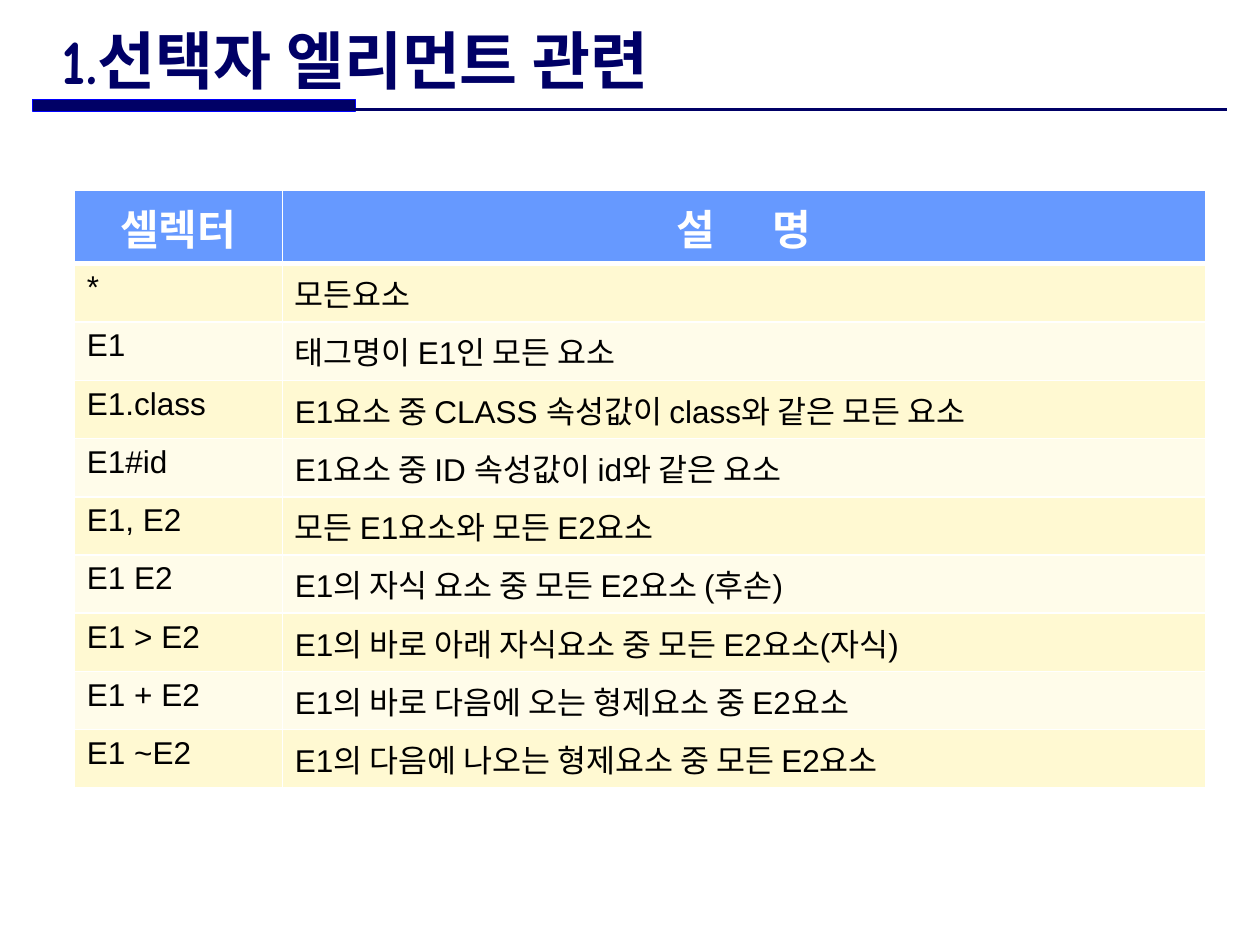
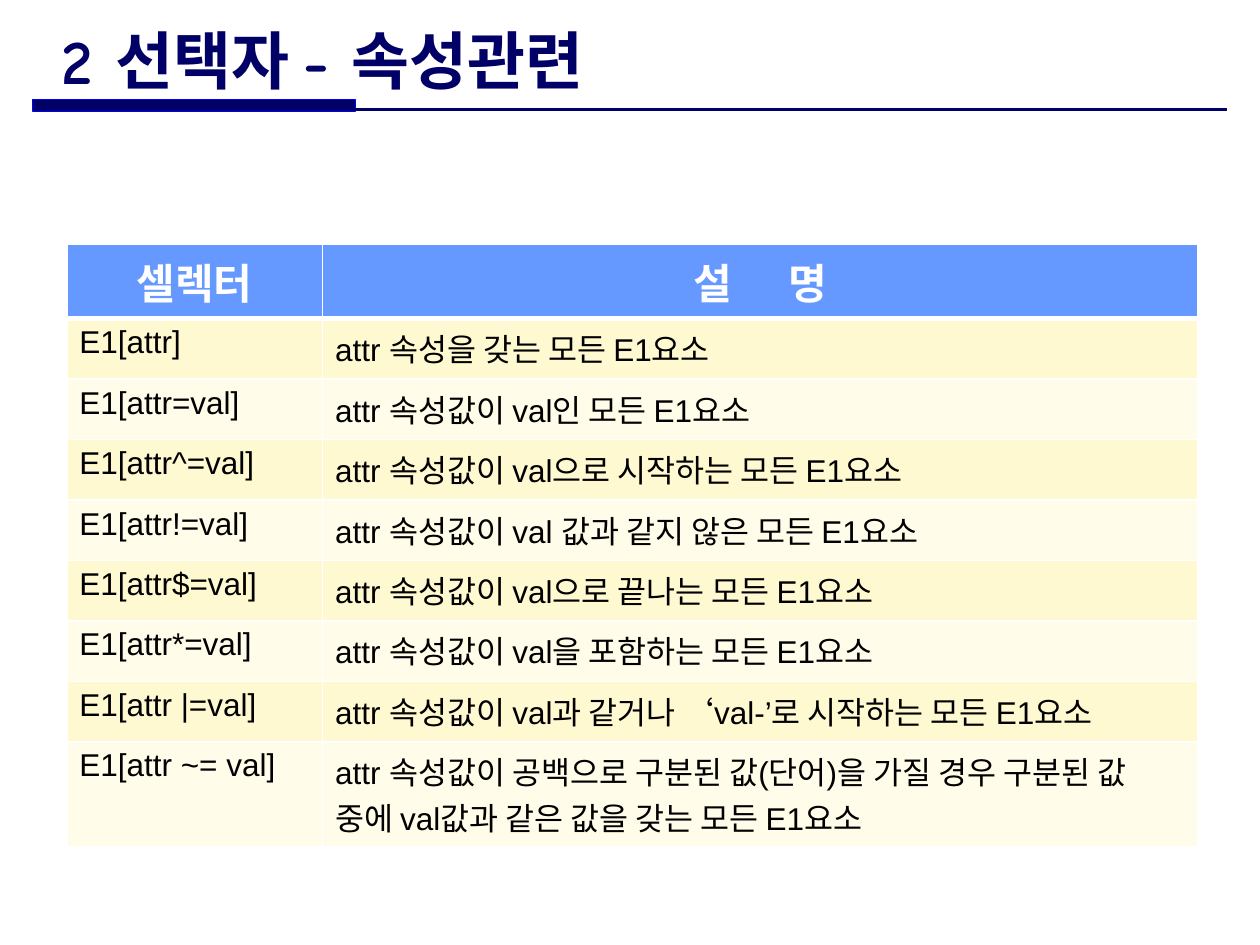
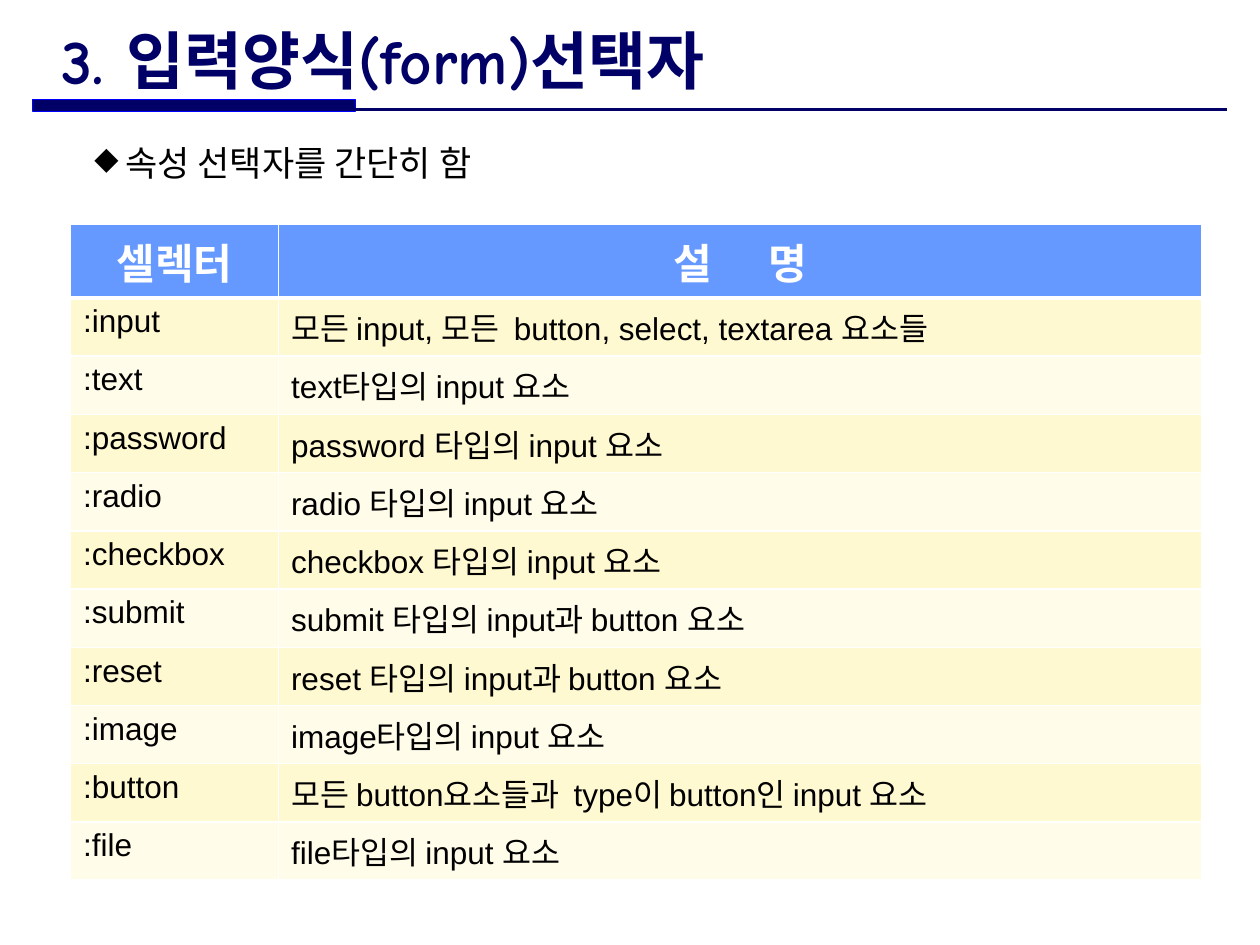
from lxml.etree import SubElement
from pptx import Presentation
from pptx.dml.color import RGBColor
from pptx.enum.shapes import MSO_CONNECTOR, MSO_SHAPE
from pptx.enum.text import MSO_ANCHOR, MSO_AUTO_SIZE, PP_ALIGN
from pptx.oxml.ns import qn
from pptx.util import Inches, Pt

COLORS = {
    "navy": "000066",
    "outline": "0000FF",
    "header": "6699FF",
    "odd_row": "FFF9D2",
    "even_row": "FFFCEA",
    "white": "FFFFFF",
    "black": "000000",
}
KOREAN_FONT = "Noto Sans CJK KR"
HEADINGS = ("셀렉터", "설      명")
TABLE_WIDTH = 8.98

TOPICS = [
    {
        "title": "1.선택자 엘리먼트 관련",
        "corner": (0.59, 1.51),
        "selector_width": 1.65,
        "heights": [0.53] + [0.43] * 9,
        "rows": [
            ("*", "모든요소"),
            ("E1", "태그명이 E1인 모든 요소"),
            ("E1.class", "E1요소 중 CLASS 속성값이 class와 같은 모든 요소"),
            ("E1#id", "E1요소 중 ID 속성값이 id와 같은 요소"),
            ("E1, E2", "모든 E1요소와 모든 E2요소"),
            ("E1 E2", "E1의 자식 요소 중 모든 E2요소 (후손)"),
            ("E1 > E2", "E1의 바로 아래 자식요소 중 모든 E2요소(자식)"),
            ("E1 + E2", "E1의 바로 다음에 오는 형제요소 중 E2요소"),
            ("E1 ~E2", "E1의 다음에 나오는 형제요소 중 모든 E2요소"),
        ],
    },
    {
        "title": "2 선택자 - 속성관련",
        "corner": (0.53, 1.94),
        "selector_width": 2.03,
        "heights": [0.59] + [0.48] * 7 + [0.83],
        "rows": [
            ("E1[attr]", "attr 속성을 갖는 모든 E1요소"),
            ("E1[attr=val]", "attr 속성값이 val인 모든 E1요소"),
            ("E1[attr^=val]", "attr 속성값이 val으로 시작하는 모든 E1요소"),
            ("E1[attr!=val]", "attr 속성값이 val 값과 같지 않은 모든 E1요소"),
            ("E1[attr$=val]", "attr 속성값이 val으로 끝나는 모든 E1요소"),
            ("E1[attr*=val]", "attr 속성값이 val을 포함하는 모든 E1요소"),
            ("E1[attr |=val]", "attr 속성값이 val과 같거나 ‘val-’로 시작하는 모든 E1요소"),
            ("E1[attr ~= val]", "attr 속성값이 공백으로 구분된 값(단어)을 가질 경우 구분된 값 "
                                "중에 val값과 같은 값을 갖는 모든 E1요소"),
        ],
    },
    {
        "title": "3. 입력양식(form)선택자",
        "corner": (0.56, 1.78),
        "selector_width": 1.65,
        "heights": [0.41] * 11,
        "rows": [
            (":input", "모든 input, 모든  button, select, textarea 요소들"),
            (":text", "text타입의 input 요소"),
            (":password", "password 타입의 input 요소"),
            (":radio", "radio 타입의 input 요소"),
            (":checkbox", "checkbox 타입의 input 요소"),
            (":submit", "submit 타입의 input과 button 요소"),
            (":reset", "reset 타입의 input과 button 요소"),
            (":image", "image타입의 input 요소"),
            (":button", "모든 button요소들과  type이 button인 input 요소"),
            (":file", "file타입의 input 요소"),
        ],
    },
]


def format_run(run, size, color, font="Arial", bold=False):
    run.font.size = Pt(size)
    run.font.bold = bold
    run.font.name = font
    run.font.color.rgb = RGBColor.from_string(COLORS[color])
    east_asian = SubElement(run.font._element, qn("a:ea"), typeface=KOREAN_FONT)
    run.font._element.find(qn("a:latin")).addnext(east_asian)


def set_borders(cell, bottom_width):
    properties = cell._tc.get_or_add_tcPr()
    for side, width in (("L", 1), ("R", 1), ("T", 1), ("B", bottom_width)):
        line = SubElement(properties, qn(f"a:ln{side}"), w=str(Pt(width)))
        fill = SubElement(line, qn("a:solidFill"))
        SubElement(fill, qn("a:srgbClr"), val=COLORS["white"])


presentation = Presentation()
presentation.slide_width, presentation.slide_height = Inches(10), Inches(7.5)
layout = presentation.slide_layouts.get_by_name("Title Only")
slides = [presentation.slides.add_slide(layout) for topic in TOPICS]

band = slides[0].shapes.add_shape(
    MSO_SHAPE.RECTANGLE, Inches(0.26), Inches(0.79), Inches(2.56), Inches(0.09))
band.shadow.inherit = False
band.fill.solid()
band.fill.fore_color.rgb = RGBColor.from_string(COLORS["navy"])
band.line.color.rgb = RGBColor.from_string(COLORS["outline"])
band.line.width = Pt(0.75)

rule = slides[0].shapes.add_connector(
    MSO_CONNECTOR.STRAIGHT, Inches(0.26), Inches(0.87), Inches(9.74), Inches(0.87))
rule.line.color.rgb = RGBColor.from_string(COLORS["navy"])
rule.line.width = Pt(1.5)
SubElement(rule._element.spPr, qn("a:effectLst"))

for decoration in (band, rule):
    layout.shapes.element.append(decoration.element)

for slide, topic in zip(slides, TOPICS):
    title = slide.shapes.title
    title.left, title.top = Inches(0.39), Inches(0.21)
    title.width, title.height = Inches(6.79), Inches(0.52)
    title.text_frame.text = topic["title"]
    title.text_frame.auto_size = MSO_AUTO_SIZE.NONE
    title.text_frame.vertical_anchor = MSO_ANCHOR.MIDDLE
    title_paragraph = title.text_frame.paragraphs[0]
    title_paragraph.alignment = PP_ALIGN.LEFT
    format_run(title_paragraph.runs[0], 36, "navy", "Comic Neue", True)

    left, top = topic["corner"]
    heights = topic["heights"]
    table = slide.shapes.add_table(
        len(heights), 2, Inches(left), Inches(top),
        Inches(TABLE_WIDTH), Inches(sum(heights))).table
    table.columns[0].width = Inches(topic["selector_width"])
    table.columns[1].width = Inches(TABLE_WIDTH - topic["selector_width"])
    for row_index, texts in enumerate([HEADINGS] + topic["rows"]):
        table.rows[row_index].height = Inches(heights[row_index])
        is_header = row_index == 0
        row_color = "header" if is_header else "odd_row" if row_index % 2 else "even_row"
        for cell, text in zip(table.rows[row_index].cells, texts):
            set_borders(cell, 3 if is_header else 1)
            cell.fill.solid()
            cell.fill.fore_color.rgb = RGBColor.from_string(COLORS[row_color])
            cell.text_frame.text = text
            paragraph = cell.text_frame.paragraphs[0]
            if is_header:
                paragraph.alignment = PP_ALIGN.CENTER
                format_run(paragraph.runs[0], 24, "white", bold=True)
            else:
                format_run(paragraph.runs[0], 18, "black")

note = slides[2].shapes.add_textbox(Inches(0.65), Inches(1.07), Inches(7.92), Inches(0.44))
note.text_frame.word_wrap = True
note.text_frame.auto_size = MSO_AUTO_SIZE.SHAPE_TO_FIT_TEXT
note_paragraph = note.text_frame.paragraphs[0]
bullet = note_paragraph._p.get_or_add_pPr()
bullet.set("marL", "0")
bullet.set("indent", str(Inches(-0.12)))
bullet_color = SubElement(bullet, qn("a:buClr"))
SubElement(bullet_color, qn("a:srgbClr"), val=COLORS["black"])
SubElement(bullet, qn("a:buChar"), char="◆")
for text, size, font in ((" ", 18, "Arial"), ("속성 선택자를 간단히 함", 20, KOREAN_FONT)):
    run = note_paragraph.add_run()
    run.text = text
    format_run(run, size, "black", font)

presentation.save("out.pptx")
